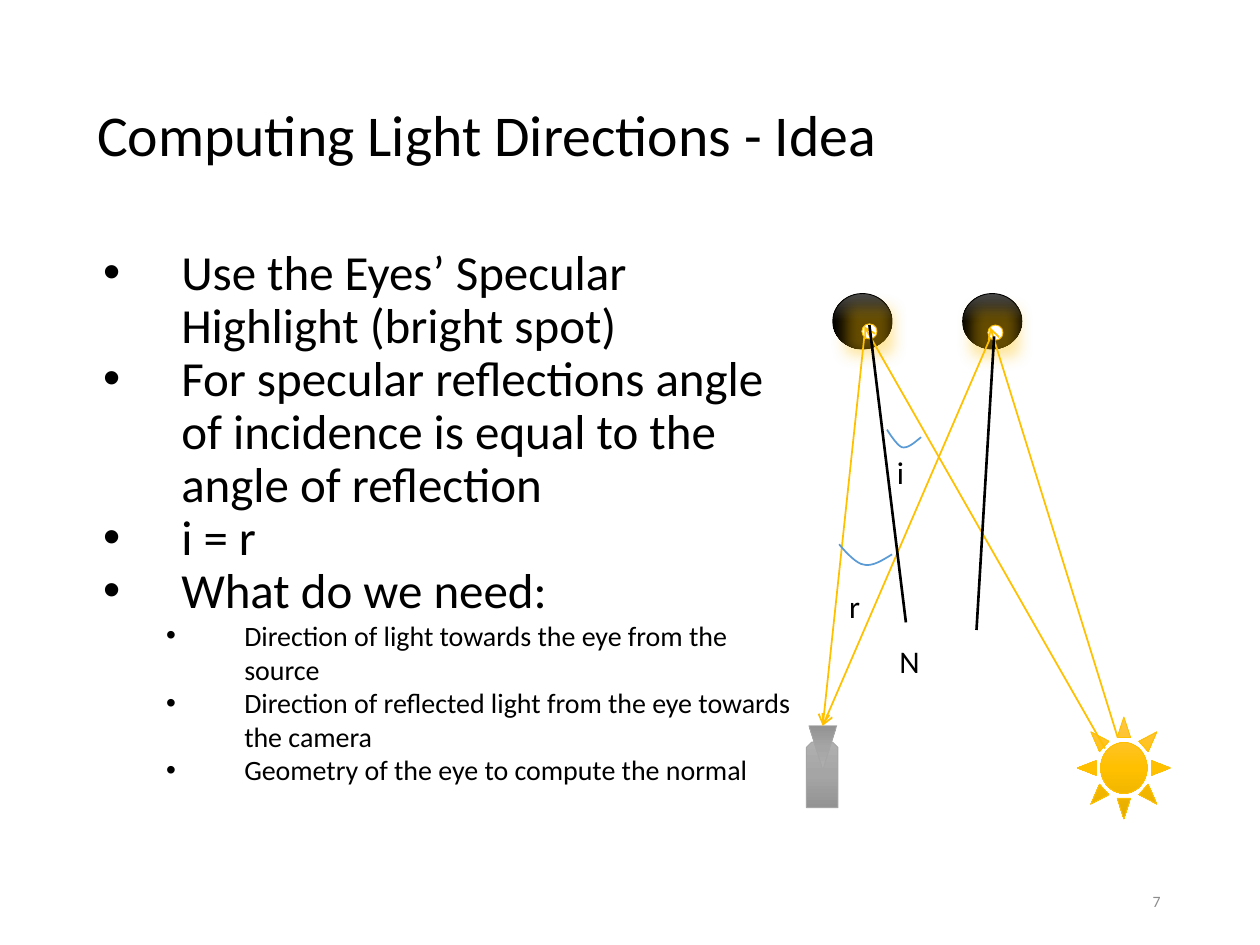
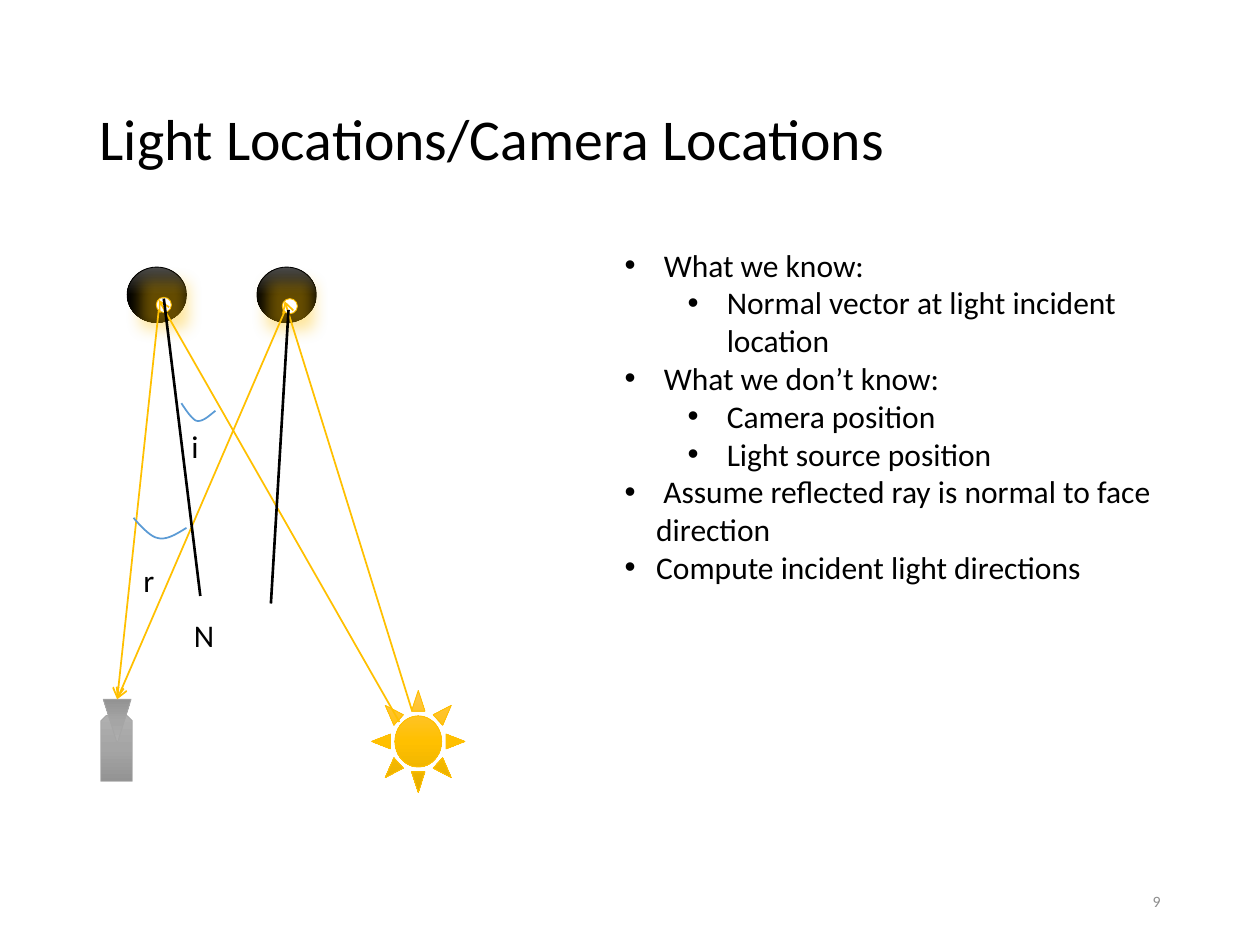
"""Build two slides on estimating light directions from eye highlights."""
import copy
from dataclasses import dataclass
from typing import Any, Optional

import lxml.etree
import pptx
import pptx.dml.color
import pptx.enum.shapes
import pptx.enum.text
import pptx.oxml.ns
import pptx.util

Inches = pptx.util.Inches
RGBColor = pptx.dml.color.RGBColor
Preset = pptx.enum.shapes.MSO_SHAPE
Align = pptx.enum.text.PP_ALIGN
Anchor = pptx.enum.text.MSO_ANCHOR
qn = pptx.oxml.ns.qn

BLACK = RGBColor(0x00, 0x00, 0x00)
WHITE = RGBColor(0xFF, 0xFF, 0xFF)
NUMBER_GREY = RGBColor(0x8C, 0x8C, 0x8C)
GOLD = RGBColor(0xFF, 0xC0, 0x00)
ARC_BLUE = RGBColor(0x5B, 0x9B, 0xD5)
CAMERA_GREY = RGBColor(0xA5, 0xA5, 0xA5)
EYE_FILL = (RGBColor(0x4B, 0x4B, 0x4B), BLACK, BLACK)
CAMERA_FILL = (RGBColor(0xAF, 0xAF, 0xAF), CAMERA_GREY, RGBColor(0x93, 0x93, 0x93))
SUN_FILL = (RGBColor(0xFF, 0xC6, 0x4B), GOLD, RGBColor(0xE3, 0xAB, 0x00))
FONT = "Calibri"

Point = tuple[float, float]
Box = tuple[float, float, float, float]


@dataclass(frozen=True)
class Part:
    preset: Preset
    box: Box
    fill: tuple[RGBColor, ...]
    outline: RGBColor
    rotation: float = 0
    glow: bool = False


@dataclass(frozen=True)
class Ray:
    start: Point
    end: Point
    color: RGBColor = GOLD
    width: float = 1
    arrow: bool = True


@dataclass(frozen=True)
class Label:
    text: str
    box: Box


@dataclass(frozen=True)
class Bullet:
    text: str
    indent: float
    hanging: float
    size: float = 18
    level: int = 0
    spacing: Optional[float] = None


@dataclass(frozen=True)
class Page:
    title: str
    title_at: Point
    number: str
    diagram_at: Point
    bullets_box: Box
    bullets: tuple[Bullet, ...]


EYES = tuple(Part(Preset.OVAL, (x, 0, 0.47, 0.44), EYE_FILL, BLACK) for x in (0.21, 1.24))
HIGHLIGHTS = tuple(
    Part(Preset.OVAL, (x, y, 0.12, 0.12), (WHITE,), GOLD, glow=True)
    for x, y in ((0.44, 0.24), (1.44, 0.25))
)
CAMERA = (
    Part(Preset.SNIP_2_SAME_RECTANGLE, (0, 3.56, 0.25, 0.52), CAMERA_FILL, CAMERA_GREY),
    Part(Preset.ISOSCELES_TRIANGLE, (0.02, 3.43, 0.22, 0.35), CAMERA_FILL, CAMERA_GREY, 180),
)
SUN = Part(Preset.SUN, (2.15, 3.36, 0.74, 0.81), SUN_FILL, GOLD)
LENS = (0.13, 3.43)
RAYS = (
    Ray((2.47, 3.52), (1.46, 0.27)),
    Ray((2.37, 3.61), (0.46, 0.26)),
    Ray((1.46, 0.35), LENS),
    Ray((0.46, 0.34), LENS),
    Ray((1.49, 0.34), (1.35, 2.67), BLACK, 1.5, False),
    Ray((0.5, 0.25), (0.79, 2.61), BLACK, 1.5, False),
)
ANGLE_ARCS = (
    ((0.68, 2.07), (0.6, 2.12), (0.52, 2.17), (0.45, 2.15),
     (0.38, 2.14), (0.26, 1.99), (0.26, 1.99)),
    ((0.91, 1.14), (0.86, 1.18), (0.81, 1.23), (0.76, 1.22),
     (0.72, 1.21), (0.64, 1.08), (0.64, 1.08)),
)
LABELS = (
    Label("N", (0.64, 2.72, 0.28, 0.4)),
    Label("i", (0.62, 1.22, 0.26, 0.4)),
    Label("r", (0.24, 2.28, 0.29, 0.4)),
)

IDEA_POINTS = (
    "Use the Eyes’ Specular Highlight (bright spot)",
    "For specular reflections angle of incidence is equal to the angle of reflection",
    "i = r",
    "What do we need:",
)
IDEA_NEEDS = (
    "Direction of light towards the eye from the source",
    "Direction of reflected light from the eye towards the camera",
    "Geometry of the eye to compute the normal",
)
PAGES = (
    Page(
        "Computing Light Directions - Idea", (0.67, 0.37), "7", (6.4, 2.33),
        (0.72, 1.92, 5.79, 4.92),
        tuple(Bullet(text, 0.62, 0.62, 28, spacing=0.9) for text in IDEA_POINTS)
        + tuple(Bullet(text, 1.12, 0.62, 16, level=1) for text in IDEA_NEEDS),
    ),
    Page(
        "Light Locations/Camera Locations", (0.69, 0.4), "9", (0.8, 2.12),
        (4.86, 1.9, 4.38, 3.43),
        (
            Bullet("What we know:", 0.31, 0.31),
            Bullet("Normal vector at light incident location", 0.81, 0.31, level=1),
            Bullet("What we don’t know:", 0.31, 0.31),
            Bullet("Camera position", 0.81, 0.31, level=1),
            Bullet("Light source position", 0.81, 0.31, level=1),
            Bullet(" Assume reflected ray is normal to face direction", 0.25, 0.25),
            Bullet("Compute incident light directions", 0.25, 0.25),
        ),
    ),
)


def apply_format(target: Any, values: dict[str, Any]) -> None:
    """Set each named attribute on the target."""
    for name, value in values.items():
        setattr(target, name, value)


def add_effect(effects: Any, tag: str, color: RGBColor, alpha: int, **geometry: str) -> None:
    """Add a coloured, partly transparent effect to an effect list."""
    effect = lxml.etree.SubElement(effects, qn(tag), geometry)
    tint = lxml.etree.SubElement(effect, qn("a:srgbClr"), val=str(color))
    lxml.etree.SubElement(tint, qn("a:alpha"), val=str(alpha * 1000))


def write_run(paragraph: Any, text: str, size: float, color: RGBColor = BLACK) -> Any:
    """Add formatted text to a paragraph."""
    run = paragraph.add_run()
    run.text = text
    run.font.color.rgb = color
    apply_format(run.font, {"name": FONT, "size": pptx.util.Pt(size)})
    return run


def add_frame(slide: Any, box: Box, anchor: Anchor = Anchor.TOP) -> Any:
    """Add a wrapping text box and return its frame."""
    frame = slide.shapes.add_textbox(*map(Inches, box)).text_frame
    apply_format(frame, {"word_wrap": True, "vertical_anchor": anchor})
    return frame


def write_title(slide: Any, page: Page) -> None:
    """Place the title and give its text a soft shadow."""
    title = slide.shapes.title
    place = {"left": page.title_at[0], "top": page.title_at[1], "width": 8.62, "height": 1.45}
    apply_format(title, {name: Inches(value) for name, value in place.items()})
    apply_format(title.text_frame, {
        "word_wrap": True,
        "vertical_anchor": Anchor.MIDDLE,
        "auto_size": pptx.enum.text.MSO_AUTO_SIZE.NONE,
    })
    heading = title.text_frame.paragraphs[0]
    apply_format(heading, {"alignment": Align.LEFT, "line_spacing": 0.9})
    properties = write_run(heading, page.title, 33)._r.get_or_add_rPr()
    effects = lxml.etree.Element(qn("a:effectLst"))
    add_effect(effects, "a:outerShdw", BLACK, 43, blurRad="38100", dist="38100", dir="2700000")
    properties.find(qn("a:latin")).addprevious(effects)


def write_number(slide: Any, number: str) -> None:
    """Write the slide number at the lower right."""
    paragraph = add_frame(slide, (7.06, 6.95, 2.25, 0.4), Anchor.MIDDLE).paragraphs[0]
    paragraph.alignment = Align.RIGHT
    write_run(paragraph, number, 9, NUMBER_GREY)


def write_bullets(slide: Any, page: Page) -> None:
    """Write the bulleted list of a page."""
    frame = add_frame(slide, page.bullets_box)
    for index, bullet in enumerate(page.bullets):
        paragraph = frame.add_paragraph() if index else frame.paragraphs[0]
        properties = paragraph._p.get_or_add_pPr()
        properties.set("marL", str(Inches(bullet.indent)))
        properties.set("indent", str(-Inches(bullet.hanging)))
        lxml.etree.SubElement(properties, qn("a:buFont"), typeface="Arial")
        lxml.etree.SubElement(properties, qn("a:buChar"), char="•")
        apply_format(paragraph, {"level": bullet.level, "line_spacing": bullet.spacing})
        write_run(paragraph, bullet.text, bullet.size)


def shift(point: Point, origin: Point) -> tuple[int, int]:
    """Turn a diagram point into a slide position."""
    return Inches(point[0] + origin[0]), Inches(point[1] + origin[1])


def paint(shape: Any, colors: tuple[RGBColor, ...]) -> None:
    """Fill a shape with one colour or an even vertical gradient."""
    if len(colors) == 1:
        shape.fill.solid()
        shape.fill.fore_color.rgb = colors[0]
        return
    shape.fill.gradient()
    shape.fill.gradient_angle = 270
    stop_list = shape._element.spPr.find(".//" + qn("a:gsLst"))
    while len(stop_list) < len(colors):
        stop_list.append(copy.deepcopy(stop_list[-1]))
    for index, (stop, color) in enumerate(zip(shape.fill.gradient_stops, colors)):
        stop.position = index / (len(colors) - 1)
        stop.color.rgb = color


def draw_part(shapes: Any, part: Part, origin: Point) -> None:
    """Draw one solid part of the diagram."""
    left, top, width, height = part.box
    shape = shapes.add_shape(
        part.preset, *shift((left, top), origin), Inches(width), Inches(height))
    shape.rotation = part.rotation
    paint(shape, part.fill)
    shape.line.color.rgb = part.outline
    shape.line.width = pptx.util.Pt(0.5)
    shape.shadow.inherit = False
    if part.glow:
        effects = shape._element.spPr.find(qn("a:effectLst"))
        add_effect(effects, "a:glow", GOLD, 40, rad=str(Inches(0.25)))


def draw_ray(slide: Any, ray: Ray, origin: Point) -> None:
    """Draw a light ray or a surface normal."""
    connector = slide.shapes.add_connector(
        pptx.enum.shapes.MSO_CONNECTOR.STRAIGHT, *shift(ray.start, origin), *shift(ray.end, origin))
    connector.line.color.rgb = ray.color
    connector.line.width = pptx.util.Pt(ray.width)
    properties = connector._element.spPr
    if ray.arrow:
        lxml.etree.SubElement(properties.find(qn("a:ln")), qn("a:tailEnd"), type="arrow")
    lxml.etree.SubElement(properties, qn("a:effectLst"))


def curve_points(controls: tuple[Point, ...], steps: int = 12) -> list[Point]:
    """Sample a chain of cubic curves."""
    points = [controls[0]]
    for first in range(0, len(controls) - 1, 3):
        for step in range(1, steps + 1):
            t = step / steps
            weights = ((1 - t) ** 3, 3 * t * (1 - t) ** 2, 3 * t * t * (1 - t), t ** 3)
            section = controls[first:first + 4]
            points.append((sum(w * p[0] for w, p in zip(weights, section)),
                           sum(w * p[1] for w, p in zip(weights, section))))
    return points


def draw_arc(slide: Any, controls: tuple[Point, ...], origin: Point) -> None:
    """Draw the curve that marks an angle."""
    start, *others = (shift(point, origin) for point in curve_points(controls))
    builder = slide.shapes.build_freeform(*start)
    builder.add_line_segments(others, close=False)
    arc = builder.convert_to_shape()
    arc.fill.background()
    arc.line.color.rgb = ARC_BLUE
    arc.line.width = pptx.util.Pt(1)
    arc.shadow.inherit = False


def draw_diagram(slide: Any, origin: Point) -> None:
    """Draw the eyes, camera, sun, rays and angles."""
    for part in EYES + HIGHLIGHTS:
        draw_part(slide.shapes, part, origin)
    camera = slide.shapes.add_group_shape()
    for part in CAMERA:
        draw_part(camera.shapes, part, origin)
    draw_part(slide.shapes, SUN, origin)
    for ray in RAYS:
        draw_ray(slide, ray, origin)
    for controls in ANGLE_ARCS:
        draw_arc(slide, controls, origin)
    for label in LABELS:
        left, top, width, height = label.box
        frame = add_frame(slide, (left + origin[0], top + origin[1], width, height))
        write_run(frame.paragraphs[0], label.text, 18)


def main() -> None:
    """Build and save the presentation."""
    deck = pptx.Presentation()
    apply_format(deck, {"slide_width": Inches(10), "slide_height": Inches(7.5)})
    for page in PAGES:
        slide = deck.slides.add_slide(deck.slide_layouts.get_by_name("Title Only"))
        write_title(slide, page)
        write_number(slide, page.number)
        draw_diagram(slide, page.diagram_at)
        write_bullets(slide, page)
    deck.save("out.pptx")


if __name__ == "__main__":
    main()
